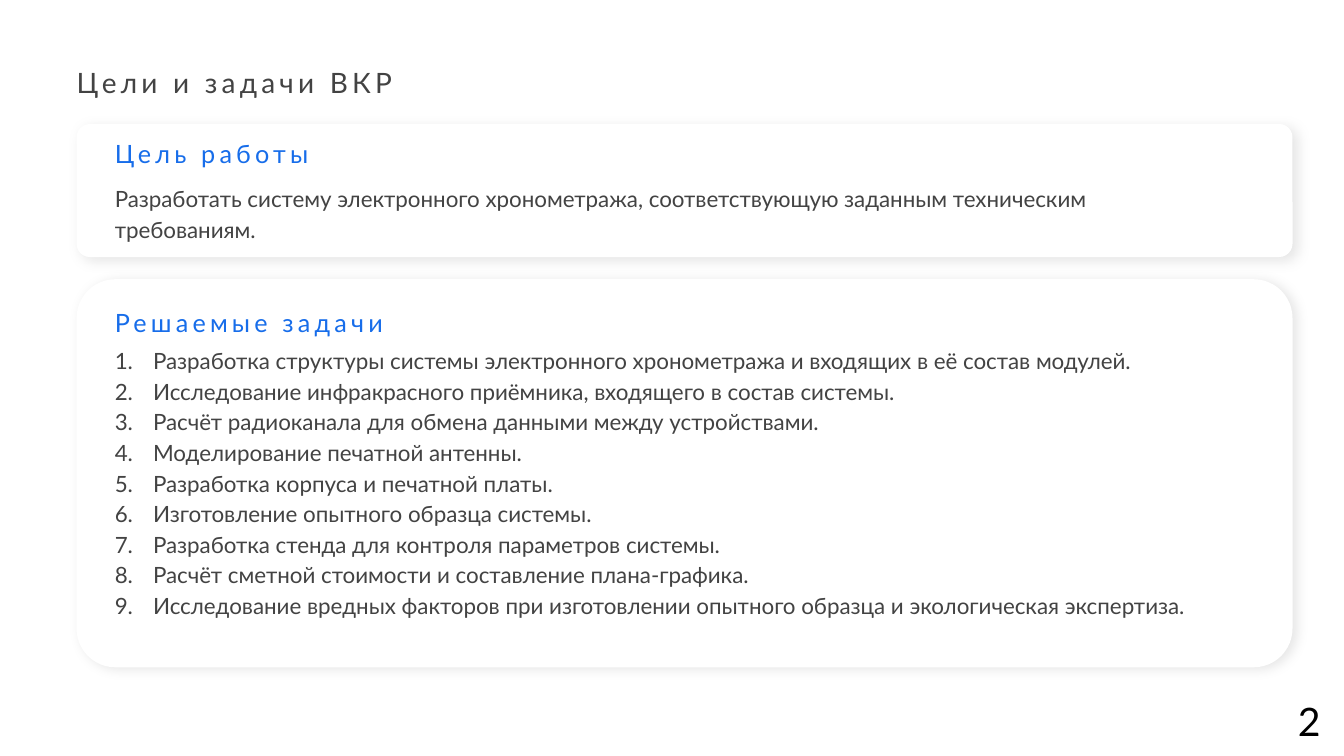
import pptx
import pptx.util
import pptx.dml.color
import pptx.enum.shapes
import pptx.enum.text
import pptx.oxml
import pptx.oxml.ns

PX = 9144  # EMU in one px, 100 px to the inch
FONT = "Lato"
HUES = {"text": "434343", "head": "176DEA", "card": "FFFFFF", "page": "000000"}
LEFT, INNER = 76, 104
INDENT = 38

GOAL = ("Разработать систему электронного хронометража, "
        "соответствующую заданным техническим требованиям.")
TASKS = [
    "Разработка структуры системы электронного хронометража и входящих в её состав модулей.",
    "Исследование инфракрасного приёмника, входящего в состав системы.",
    "Расчёт радиоканала для обмена данными между устройствами.",
    "Моделирование печатной антенны.",
    "Разработка корпуса и печатной платы.",
    "Изготовление опытного образца системы.",
    "Разработка стенда для контроля параметров системы.",
    "Расчёт сметной стоимости и составление плана-графика.",
    "Исследование вредных факторов при изготовлении опытного образца и экологическая экспертиза.",
]


def color(name):
    return pptx.dml.color.RGBColor.from_string(HUES[name])


def place(*box):
    return [v * PX for v in box]


def number(para):
    """Turn a paragraph into an item of a numbered list."""
    props = para._p.get_or_add_pPr()
    props.set("marL", str(INDENT * PX))
    props.set("indent", str(-INDENT * PX))
    mark = pptx.oxml.ns.qn("a:buAutoNum")
    props.append(props.makeelement(mark, {"type": "arabicPeriod"}))


def text(slide, lines, box, size=16, hue="text", space=1.14, track=0,
         inset=True, list_on=False, align=None):
    """Add a text box with one paragraph per line."""
    frame = slide.shapes.add_textbox(*place(*box)).text_frame
    frame.word_wrap = True
    frame.auto_size = pptx.enum.text.MSO_AUTO_SIZE.SHAPE_TO_FIT_TEXT
    if not inset:
        frame.margin_left = frame.margin_right = 0
        frame.margin_top = frame.margin_bottom = 0
    for i, line in enumerate(lines):
        para = frame.paragraphs[0] if i == 0 else frame.add_paragraph()
        if list_on:
            number(para)
        para.line_spacing = space
        para.alignment = align
        run = para.add_run()
        run.text = line
        run.font.name = FONT
        run.font.size = pptx.util.Pt(size)
        run.font.color.rgb = color(hue)
        if track:
            run.font._element.set("spc", str(track * 100))


def card(slide, top, height):
    """Add a white rounded card with a soft shadow."""
    kind = pptx.enum.shapes.MSO_SHAPE.ROUNDED_RECTANGLE
    shape = slide.shapes.add_shape(kind, *place(LEFT, top, 1206, height))
    shape.adjustments[0] = 0.1
    shape.fill.solid()
    shape.fill.fore_color.rgb = color("card")
    shape.line.fill.background()
    shape.shadow.inherit = False
    glow = pptx.oxml.parse_xml(
        f'<a:outerShdw {pptx.oxml.ns.nsdecls("a")} blurRad="114300" '
        'dist="48260" dir="1680000" algn="tl" rotWithShape="0">'
        '<a:srgbClr val="000000"><a:alpha val="9000"/></a:srgbClr>'
        '</a:outerShdw>')
    shape._element.spPr.find(pptx.oxml.ns.qn("a:effectLst")).append(glow)


def head(slide, line, top):
    text(slide, [line], (INNER, top, 1048, 42), size=18, hue="head",
         space=1.15, track=3)


def main():
    deck = pptx.Presentation()
    deck.slide_width, deck.slide_height = place(1333, 750)
    slide = deck.slides.add_slide(deck.slide_layouts[6])

    # Title
    text(slide, ["Цели и задачи ВКР"], (LEFT, 60, 500, 39), size=20,
         space=1.15, track=3, inset=False)

    # Goal
    card(slide, 123, 132)
    head(slide, "Цель работы", 128)
    text(slide, [GOAL], (INNER, 175, 1117, 82))

    # Tasks
    card(slide, 277, 385)
    head(slide, "Решаемые задачи", 295)
    text(slide, TASKS, (INNER, 336, 1117, 345), list_on=True)

    # Page number
    text(slide, ["2"], (1271, 687, 55, 57), size=28, hue="page", space=1.0,
         align=pptx.enum.text.PP_ALIGN.CENTER)

    deck.save("out.pptx")


if __name__ == "__main__":
    main()
